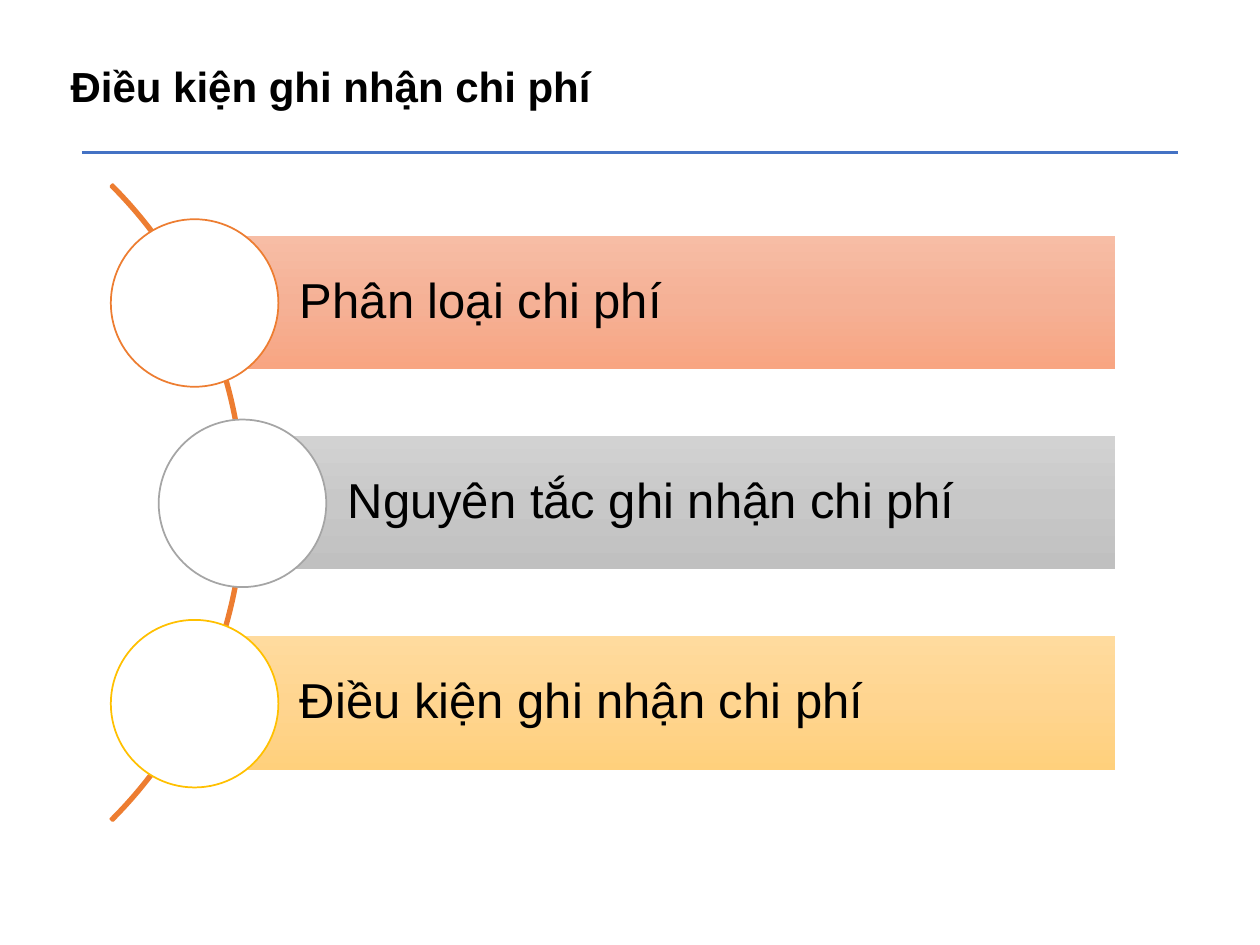
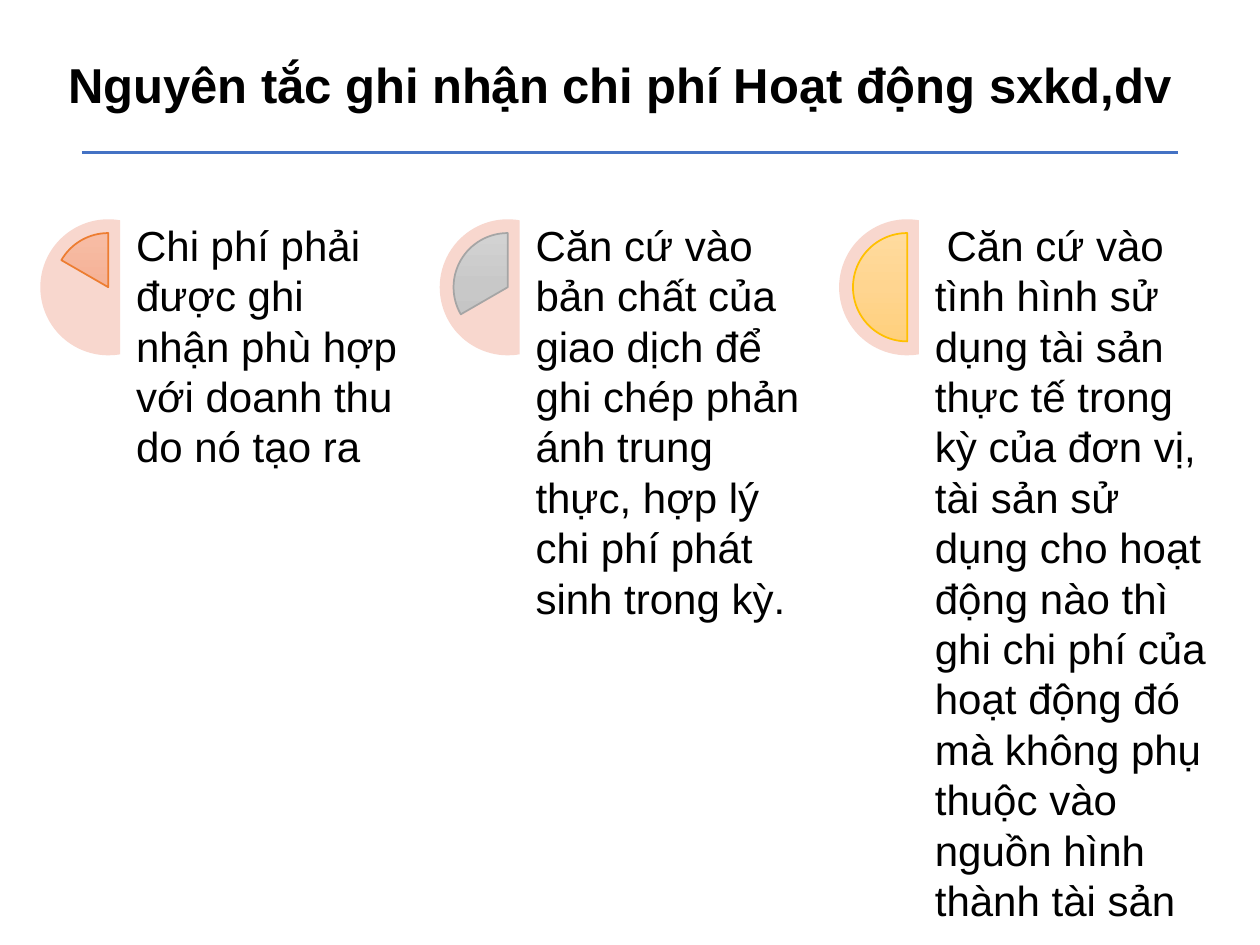
from copy import deepcopy

from pptx import Presentation
from pptx.dml.color import RGBColor
from pptx.enum.shapes import MSO_CONNECTOR, MSO_SHAPE
from pptx.enum.text import MSO_ANCHOR, MSO_AUTO_SIZE, PP_ALIGN
from pptx.oxml.ns import qn
from pptx.util import Pt

PX = 9144  # EMU per px, 100 px to the inch
FONT = "Arial"
TOP, MIDDLE = MSO_ANCHOR.TOP, MSO_ANCHOR.MIDDLE
LEFT, JUSTIFY = PP_ALIGN.LEFT, PP_ALIGN.JUSTIFY
NO_AUTOFIT = MSO_AUTO_SIZE.NONE
STRAIGHT = MSO_CONNECTOR.STRAIGHT
RECTANGLE, CIRCLE = MSO_SHAPE.RECTANGLE, MSO_SHAPE.OVAL
BLOCK_ARC, CHORD, PIE = MSO_SHAPE.BLOCK_ARC, MSO_SHAPE.CHORD, MSO_SHAPE.PIE

BLACK = RGBColor(0x00, 0x00, 0x00)
WHITE = RGBColor(0xFF, 0xFF, 0xFF)
BLUE = RGBColor(0x44, 0x72, 0xC4)
ORANGE = RGBColor(0xED, 0x7D, 0x31)
GRAY = RGBColor(0xA5, 0xA5, 0xA5)
GOLD = RGBColor(0xFF, 0xC0, 0x00)
PALE_ORANGE = RGBColor(0xF8, 0xD7, 0xCE)
ORANGE_FADE = (RGBColor(0xF7, 0xBD, 0xA5), RGBColor(0xF5, 0xB1, 0x96), RGBColor(0xF8, 0xA5, 0x82))
GRAY_FADE = (RGBColor(0xD2, 0xD2, 0xD2), RGBColor(0xC8, 0xC8, 0xC8), RGBColor(0xC0, 0xC0, 0xC0))
GOLD_FADE = (RGBColor(0xFF, 0xDB, 0x9E), RGBColor(0xFF, 0xD5, 0x90), RGBColor(0xFF, 0xD0, 0x7C))
ACCENTS = ((ORANGE, ORANGE_FADE), (GRAY, GRAY_FADE), (GOLD, GOLD_FADE))


class Deck:
    """Holds the shared style and the slide being built."""

    def __init__(self):
        self.prs = Presentation()
        self.prs.slide_width = 1000 * PX
        self.prs.slide_height = 750 * PX
        self.slide = None

    def new_slide(self, heading, box, size, align=LEFT, wrap=True):
        """Start a slide with its title and the blue rule below it."""
        self.slide = self.prs.slides.add_slide(self.prs.slide_layouts[5])
        title = self.slide.shapes.title
        title.left, title.top, title.width, title.height = (n * PX for n in box)
        self.fill_text(title, heading, size, (10, 5, 10, 5), align=align, wrap=wrap, bold=True)
        rule = self.slide.shapes.add_connector(STRAIGHT, 65 * PX, 121 * PX, 935 * PX, 121 * PX)
        rule.line.color.rgb = BLUE
        rule.line.width = Pt(1.5)
        properties = rule._element.spPr
        properties.append(properties.makeelement(qn("a:effectLst"), {}))

    def fill_text(self, shape, text, size, insets, anchor=TOP, align=LEFT, wrap=True,
                  spacing=None, bold=False):
        frame = shape.text_frame
        frame.auto_size = NO_AUTOFIT
        frame.word_wrap = wrap
        frame.vertical_anchor = anchor
        frame.margin_left, frame.margin_top, frame.margin_right, frame.margin_bottom = (
            n * PX for n in insets)
        paragraph = frame.paragraphs[0]
        paragraph.alignment = align
        paragraph.line_spacing = spacing
        run = paragraph.add_run()
        run.text = text
        run.font.name = FONT
        run.font.size = Pt(size)
        run.font.bold = bold
        run.font.color.rgb = BLACK

    def text(self, box, text, size):
        label = self.slide.shapes.add_textbox(*(n * PX for n in box))
        self.fill_text(label, text, size, (0, 0, 0, 0))

    def shape(self, kind, box, fill=None, line=None, width=1, angles=()):
        """Add a shape; fill is one colour, three colours from top to bottom, or None."""
        shape = self.slide.shapes.add_shape(kind, *(n * PX for n in box))
        shape.shadow.inherit = False
        for index, angle in enumerate(angles):
            shape.adjustments[index] = angle
        if fill is None:
            shape.fill.background()
        elif isinstance(fill, RGBColor):
            shape.fill.solid()
            shape.fill.fore_color.rgb = fill
        else:
            self.fade(shape, fill)
        if line is None:
            shape.line.fill.background()
        else:
            shape.line.color.rgb = line
            shape.line.width = Pt(width)
        return shape

    def fade(self, shape, colours):
        shape.fill.gradient()
        shape.fill.gradient_angle = 270
        stops = shape._element.spPr.find(".//" + qn("a:gsLst"))
        stops.append(deepcopy(stops[-1]))
        for index, (stop, colour) in enumerate(zip(shape.fill.gradient_stops, colours)):
            stop.position = index / 2
            stop.color.rgb = colour


def build_topics(deck):
    deck.new_slide("Điều kiện ghi nhận chi phí", (46, 43, 436, 50), 24, JUSTIFY, wrap=False)
    deck.shape(BLOCK_ARC, (-520, 42, 714, 714), line=ORANGE, width=1.5, angles=(189, 27, 0.003))
    topics = (
        (88, "Phân loại chi phí"),
        (126, "Nguyên tắc ghi nhận chi phí"),
        (88, "Điều kiện ghi nhận chi phí"),
    )
    bar_right = 885
    for row, ((left, topic), (accent, fade)) in enumerate(zip(topics, ACCENTS)):
        top = 174 + row * 159
        bar_left = left + 66
        bar = deck.shape(RECTANGLE, (bar_left, top + 13, bar_right - bar_left, 106), fade)
        deck.fill_text(bar, topic, 28, (84, 8, 8, 8), anchor=MIDDLE, spacing=0.9)
        deck.shape(CIRCLE, (left, top, 133, 133), WHITE, accent)


def build_principles(deck):
    deck.new_slide("Nguyên tắc ghi nhận chi phí Hoạt động sxkd,dv", (44, 38, 936, 104), 28)
    principles = (
        "Chi phí phải được ghi nhận phù hợp với doanh thu do nó tạo ra",
        "Căn cứ vào bản chất của giao dịch để ghi chép phản ánh trung thực, hợp lý "
        "chi phí phát sinh trong kỳ.",
        " Căn cứ vào tình hình sử dụng tài sản thực tế trong kỳ của đơn vị, tài sản sử dụng "
        "cho hoạt động nào thì ghi chi phí của hoạt động đó mà không phụ thuộc vào "
        "nguồn hình thành tài sản",
    )
    top = 174
    for column, (principle, (accent, fade)) in enumerate(zip(principles, ACCENTS)):
        left = 32 + column * 317
        deck.shape(CHORD, (left, top, 108, 108), PALE_ORANGE, angles=(48, 168))
        deck.shape(PIE, (left + 11, top + 11, 86, 86), fade, accent,
                   angles=(126 - column * 36, 162))
        deck.text((left + 76, top, 215, 430), principle, 24)


def main():
    deck = Deck()
    build_topics(deck)
    build_principles(deck)
    deck.prs.save("out.pptx")


if __name__ == "__main__":
    main()
